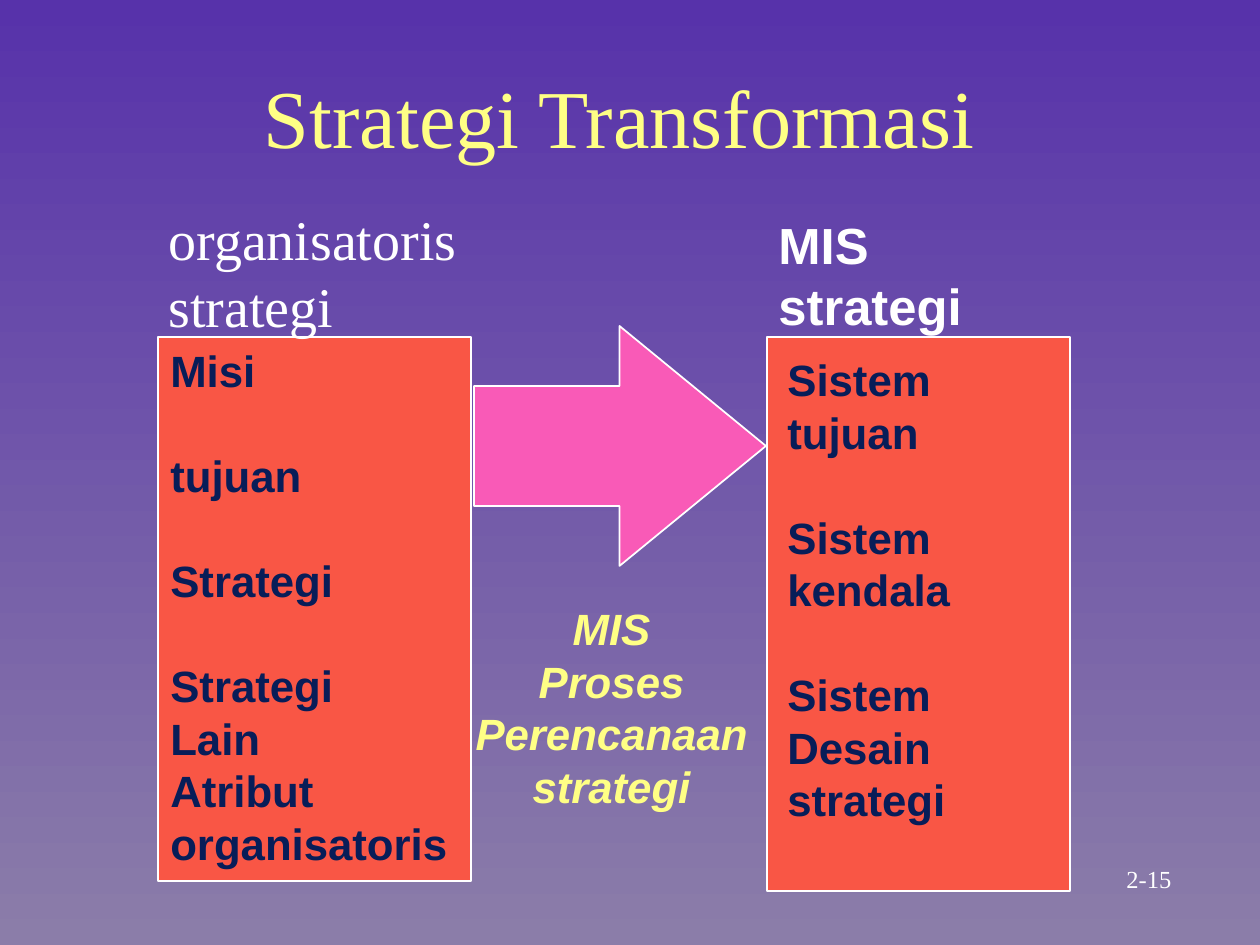
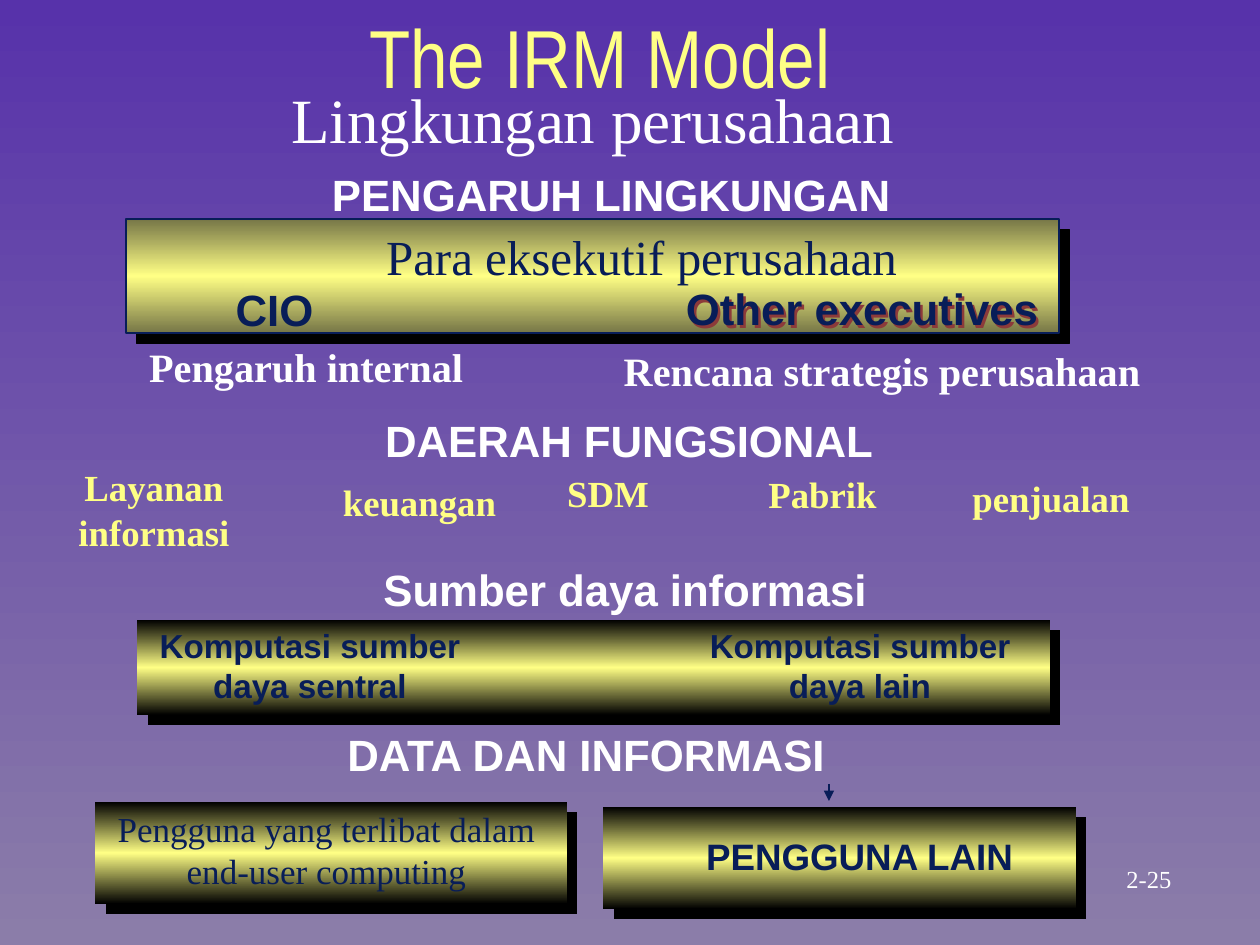
import copy

import lxml.etree
import pptx
import pptx.dml.color
import pptx.enum.dml
import pptx.enum.shapes
import pptx.enum.text
import pptx.oxml.ns
import pptx.util

SHAPES = pptx.enum.shapes.MSO_SHAPE
ALIGN = pptx.enum.text.PP_ALIGN
ANCHOR = pptx.enum.text.MSO_ANCHOR
FIT = pptx.enum.text.MSO_AUTO_SIZE
qn = pptx.oxml.ns.qn

PX_PER_INCH = 126
SERIF, SANS, NARROW = "Times New Roman", "Arial", "Arial Narrow"
TITLE_SIZE = 47
LINE_HEIGHT = 1.2
SHADOW_DISTANCE = 8.5
COLOURS = {
    "sky": "5732AA",
    "haze": "8B7DA9",
    "yellow": "FFFF85",
    "white": "FFFFFF",
    "navy": "081D58",
    "coral": "F95645",
    "pink": "F95AB7",
    "olive": "767647",
    "black": "000000",
    "maroon": "8C3A3A",
}


def px(length):
    return pptx.util.Emu(round(length * 914400 / PX_PER_INCH))


def rgb(name):
    return pptx.dml.color.RGBColor.from_string(COLOURS[name])


def fill_gradient(fill, names):
    """Fill from top to bottom with evenly spaced colours."""
    fill.gradient_angle = 270
    for index, (stop, name) in enumerate(zip(fill.gradient_stops, names)):
        stop.color.rgb = rgb(name)
        stop.position = index / (len(names) - 1)


class Slides:
    def __init__(self):
        self.deck = pptx.Presentation()
        self.deck.slide_width = px(1260)
        self.deck.slide_height = px(945)
        backdrop = self.deck.slide_master.background.fill
        backdrop.gradient()
        fill_gradient(backdrop, ["sky", "haze"])
        self.page = None

    def start(self, title, box, font, number):
        """Add a slide with its title and page number."""
        self.page = self.deck.slides.add_slide(self.deck.slide_layouts[5])
        holder = self.page.shapes.title
        holder.left, holder.top, holder.width, holder.height = map(px, box)
        holder.text_frame.auto_size = FIT.NONE
        self.set_text(holder.text_frame, [title], TITLE_SIZE, "yellow", font,
                      anchor=ANCHOR.MIDDLE)
        self.text((1074, 857, 150, 43), [number], 14, "white", SERIF,
                  anchor=ANCHOR.MIDDLE)

    def set_text(self, frame, paragraphs, size, colour, font, bold=False,
                 italic=False, align=ALIGN.CENTER, anchor=ANCHOR.TOP):
        """Fill a frame with paragraphs set one line apart."""
        frame.vertical_anchor = anchor
        line = pptx.util.Pt(size * LINE_HEIGHT)
        for index, words in enumerate(paragraphs):
            para = frame.add_paragraph() if index else frame.paragraphs[0]
            para.text = words
            para.alignment = align
            para.line_spacing = line
            para.space_before = line if index else pptx.util.Pt(0)
            para.font.size = pptx.util.Pt(size)
            para.font.name = font
            para.font.bold = bold
            para.font.italic = italic
            para.font.color.rgb = rgb(colour)

    def text(self, box, paragraphs, size, colour, font, wrap=False, **style):
        area = self.page.shapes.add_textbox(*map(px, box))
        area.text_frame.word_wrap = wrap
        area.text_frame.auto_size = FIT.SHAPE_TO_FIT_TEXT
        self.set_text(area.text_frame, paragraphs, size, colour, font, **style)
        return area

    def shape(self, kind, box, line=None):
        shape = self.page.shapes.add_shape(kind, *map(px, box))
        shape.shadow.inherit = False
        if line:
            shape.line.color.rgb = rgb(line)
            shape.line.width = pptx.util.Pt(1)
        else:
            shape.line.fill.background()
        return shape

    def flat(self, kind, box, colour):
        shape = self.shape(kind, box, "white")
        shape.fill.solid()
        shape.fill.fore_color.rgb = rgb(colour)
        return shape

    def shadow(self, shape, colour, distance):
        """Cast a sharp shadow to the lower right."""
        shape.shadow.inherit = False
        effects = shape._element.spPr.find(qn("a:effectLst"))
        outer = lxml.etree.SubElement(
            effects, qn("a:outerShdw"), blurRad="0",
            dist=str(int(pptx.util.Pt(distance))), dir="2700000", algn="ctr",
            rotWithShape="0")
        lxml.etree.SubElement(outer, qn("a:srgbClr"), val=COLOURS[colour])

    def bar(self, box, edge, line=None):
        """Add a shadowed bar that glows yellow in the middle."""
        shape = self.shape(SHAPES.RECTANGLE, box, line)
        shape.fill.gradient()
        stops = shape._element.spPr.find(".//" + qn("a:gsLst"))
        stops.append(copy.deepcopy(stops[0]))
        fill_gradient(shape.fill, [edge, "yellow", edge])
        self.shadow(shape, "black", SHADOW_DISTANCE)

    def arrow(self, start, end, colour):
        arrow = self.page.shapes.add_connector(
            pptx.enum.shapes.MSO_CONNECTOR.STRAIGHT, *map(px, start + end))
        arrow.line.color.rgb = rgb(colour)
        arrow.line.width = pptx.util.Pt(1)
        properties = arrow._element.spPr
        lxml.etree.SubElement(properties.find(qn("a:ln")), qn("a:tailEnd"),
                              type="triangle")
        lxml.etree.SubElement(properties, qn("a:effectLst"))


def add_transformation(slides):
    slides.start("Strategi Transformasi", (84, 32, 1071, 168), SERIF, "2-15")
    slides.flat(SHAPES.RECTANGLE, (158, 337, 313, 544), "coral")
    slides.flat(SHAPES.RECTANGLE, (767, 337, 303, 554), "coral")
    slides.text((156, 198, 316, 147), ["organisatoris\nstrategi"], 32, "white",
                SERIF, align=ALIGN.LEFT)
    slides.text((766, 208, 209, 135), ["MIS\nstrategi"], 29, "white", SANS,
                bold=True, align=ALIGN.LEFT)
    slides.text((158, 338, 302, 538),
                ["Misi", "tujuan", "Strategi",
                 "Strategi\nLain\nAtribut\norganisatoris"],
                25, "navy", SANS, bold=True, align=ALIGN.LEFT)
    slides.text((775, 347, 285, 485),
                ["Sistem\ntujuan", "Sistem\nkendala",
                 "Sistem\nDesain\nstrategi"],
                25, "navy", SANS, wrap=True, bold=True, align=ALIGN.LEFT)
    arrow = slides.flat(SHAPES.RIGHT_ARROW, (474, 326, 292, 240), "pink")
    arrow.adjustments[1] = 0.61
    slides.text((462, 596, 299, 223), ["MIS\nProses\nPerencanaan\nstrategi"],
                25, "yellow", SANS, bold=True, italic=True)


def add_irm_model(slides):
    slides.start("The IRM Model", (157, 0, 886, 112), NARROW, "2-25")
    slides.text((126, 74, 934, 88), ["Lingkungan perusahaan"], 36, "white",
                SERIF)

    slides.bar((126, 219, 933, 114), "olive", "navy")
    slides.text((373, 220, 537, 72), ["Para eksekutif perusahaan"], 28, "navy",
                SERIF)
    slides.text((189, 277, 171, 66), ["CIO"], 25, "navy", SANS, bold=True)
    others = slides.text((673, 276, 378, 66), ["Other executives"], 25, "navy",
                         SANS, bold=True)
    slides.shadow(others, "maroon", 2)

    headings = [
        ("PENGARUH LINGKUNGAN", 313, 162, 596),
        ("DAERAH FUNGSIONAL", 372, 408, 514),
        ("Sumber daya informasi", 32, 557, 1186),
        ("DATA DAN INFORMASI", 330, 722, 512),
    ]
    for words, left, top, width in headings:
        slides.text((left, top, width, 66), [words], 25, "white", SANS,
                    bold=True)

    influences = [
        ("Pengaruh internal", 136, 336, 341),
        ("Rencana strategis perusahaan", 611, 340, 543),
    ]
    for words, left, top, width in influences:
        slides.text((left, top, width, 62), [words], 23, "white", SERIF,
                    bold=True)

    areas = [
        ("Layanan\ninformasi", 65, 459, 178),
        ("keuangan", 330, 474, 179),
        ("SDM", 513, 465, 190),
        ("Pabrik", 755, 466, 135),
        ("penjualan", 959, 470, 184),
    ]
    for words, left, top, width in areas:
        slides.text((left, top, width, 57), [words], 21, "yellow", SERIF,
                    bold=True)

    slides.bar((137, 620, 913, 95), "black")
    resources = [
        ("Komputasi sumber daya sentral", 116, 388),
        ("Komputasi sumber daya lain", 660, 400),
    ]
    for words, left, width in resources:
        slides.text((left, 619, width, 93), [words], 19, "navy", SANS,
                    wrap=True, bold=True)

    slides.bar((95, 802, 472, 102), "black")
    slides.bar((603, 807, 473, 102), "black")
    slides.text((95, 801, 463, 97),
                ["Pengguna yang terlibat dalam\nend-user computing"],
                20, "navy", SERIF)
    slides.text((617, 828, 485, 57), ["PENGGUNA LAIN"], 21, "navy", SANS,
                bold=True)
    slides.arrow((829, 784), (829, 801), "navy")


def main():
    slides = Slides()
    add_transformation(slides)
    add_irm_model(slides)
    slides.deck.save("out.pptx")


if __name__ == "__main__":
    main()
